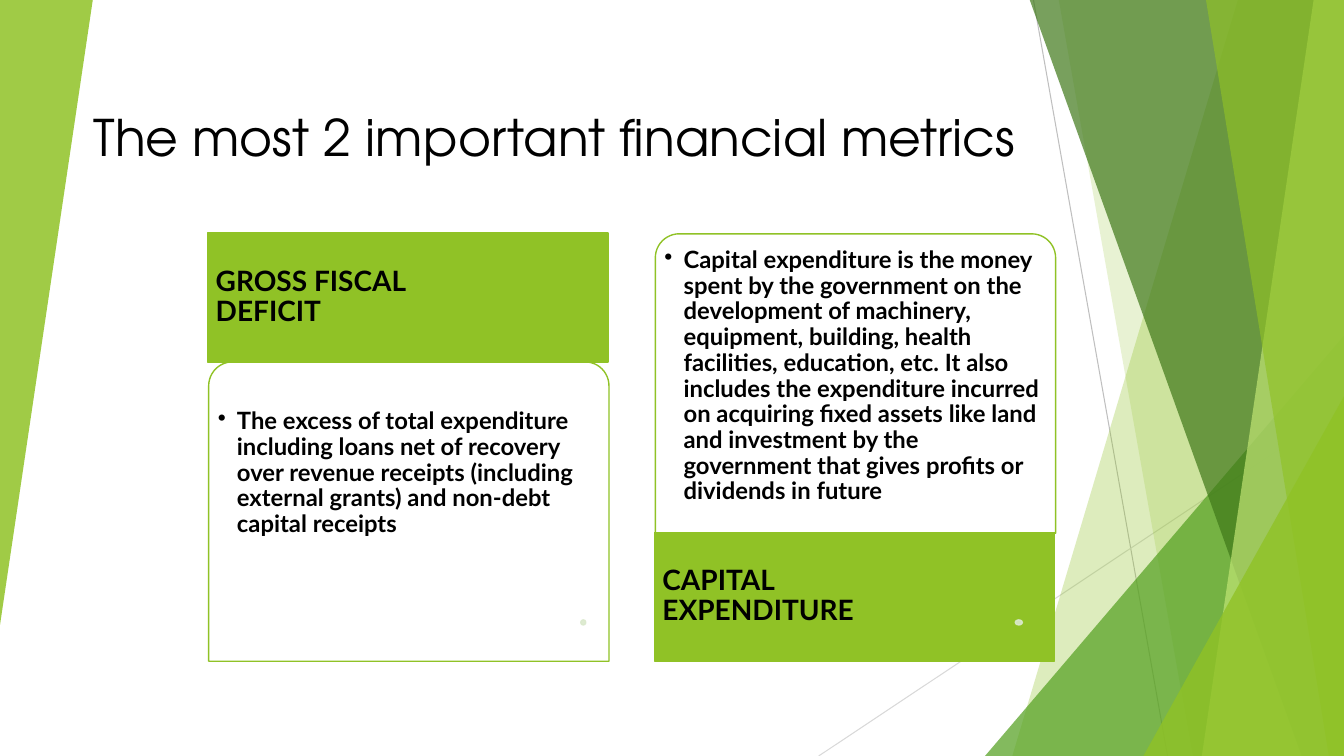
import pptx
import pptx.util
import pptx.dml.color
import pptx.enum.shapes
import pptx.enum.text
from lxml import etree
from pptx.oxml.ns import qn

# Content
TITLE = "The most 2 important financial metrics"
CARDS = [
    dict(head="GROSS FISCAL DEFICIT", flip=False, pad=0.4, dot=(5.76, 0.05),
         body="The excess of total expenditure including loans net of recovery over "
              "revenue receipts (including external grants) and non-debt capital receipts"),
    dict(head="CAPITAL EXPENDITURE", flip=True, pad=0.07, dot=(10.07, 0.07),
         body="Capital expenditure is the money spent by the government on the "
              "development of machinery, equipment, building, health facilities, "
              "education, etc. It also includes the expenditure incurred on acquiring "
              "fixed assets like land and investment by the government that gives "
              "profits or dividends in future"),
]
HUES = dict(lime="90C226", leaf="54A021", moss="3F7819", pale="C0E474", mist="DBE9CD",
            white="FFFFFF", black="000000", gray="BFBFBF", light="D9D9D9")
SANS, GEO = "Lato", "TeX Gyre Adventor"

# Layout, in inches
WIDE, HIGH = 13.33, 7.5
LEFT, TOP, STEP = 2.06, 2.31, 4.43
CARD, HEAD, BODY = 3.97, 1.28, 2.97
RAYS = [((10.25, 0), (11.58, HIGH), "gray"), ((WIDE, 4.03), (8.12, HIGH), "light")]
# Bands run from a top x to a bottom x and fill to the right edge;
# wedges are triangles that sit in the bottom right corner
DECOR = [
    ("band", 12.28, 10.04, "lime", 30),
    ("band", 10.5, 11.83, "lime", 20),
    ("wedge", 3.56, 4.17, "leaf", 72),
    ("band", 10.21, 12.91, "moss", 70),
    ("band", 13.03, 11.92, "pale", 70),
    ("band", 11.96, 13.18, "lime", 65),
    ("wedge", 1.99, 3.57, "lime", 80),
]

KIND = pptx.enum.shapes.MSO_SHAPE
ANCHOR = pptx.enum.text.MSO_ANCHOR
inch = pptx.util.Inches

deck = pptx.Presentation()
deck.slide_width, deck.slide_height = inch(WIDE), inch(HIGH)
slide = deck.slides.add_slide(deck.slide_layouts[6])
shapes = slide.shapes


def rgb(hue):
    return pptx.dml.color.RGBColor.from_string(HUES[hue])


def fade(fill, share):
    color = fill._xPr.find(qn("a:solidFill"))[0]
    etree.SubElement(color, qn("a:alpha"), val=str(share * 1000))


def paint(shape, hue, share=100, edge=None):
    shape.shadow.inherit = False
    shape.fill.solid()
    shape.fill.fore_color.rgb = rgb(hue)
    if share < 100:
        fade(shape.fill, share)
    if edge:
        shape.line.color.rgb = rgb(edge)
        shape.line.width = pptx.util.Pt(1)
    else:
        shape.line.fill.background()
    return shape


def block(kind, x, y, w, h):
    return shapes.add_shape(kind, inch(x), inch(y), inch(w), inch(h))


def write(text, box, size, font=SANS, bold=True, inset=(0.1, 0.05, 0.1, 0.05),
          anchor=ANCHOR.TOP, space=0.9, bullet=False):
    frame = shapes.add_textbox(*map(inch, box)).text_frame
    frame.word_wrap = True
    frame.vertical_anchor = anchor
    (frame.margin_left, frame.margin_top,
     frame.margin_right, frame.margin_bottom) = map(inch, inset)
    para = frame.paragraphs[0]
    if bullet:
        props = para._p.get_or_add_pPr()
        props.set("marL", str(inch(0.19)))
        props.set("indent", str(-inch(0.19)))
        etree.SubElement(props, qn("a:buChar"), char="•")
    para.line_spacing = space
    run = para.add_run()
    run.text = text
    run.font.name, run.font.size, run.font.bold = font, pptx.util.Pt(size), bold
    run.font.color.rgb = rgb("black")


# Thin rays
for start, end, hue in RAYS:
    ray = shapes.add_connector(pptx.enum.shapes.MSO_CONNECTOR.STRAIGHT,
                               *map(inch, start + end))
    ray.line.color.rgb = rgb(hue)
    ray.line.width = pptx.util.Pt(0.75)
    etree.SubElement(ray._element.spPr, qn("a:effectLst"))

# Green bands and wedges
for form, a, b, hue, share in DECOR:
    if form == "band":
        path = [(a, -0.01), (WIDE, -0.01), (WIDE, HIGH), (b, HIGH)]
        first, *rest = [(inch(x), inch(y)) for x, y in path]
        pen = shapes.build_freeform(*first)
        pen.add_line_segments(rest, close=True)
        part = pen.convert_to_shape()
    else:
        part = block(KIND.ISOSCELES_TRIANGLE, WIDE - a, HIGH - b, a, b)
        part.adjustments[0] = 1
    paint(part, hue, share)
side = paint(block(KIND.ISOSCELES_TRIANGLE, 0, 0, 0.92, 6.2), "lime", 85)
side.adjustments[0] = 1
side.rotation = 180

# Title
write(TITLE, (0.83, 1, 10.74, 0.71), 36, font=GEO, bold=False, space=1)

# Cards: the second has its heading below its body
for col, card in enumerate(CARDS):
    x = LEFT + col * STEP
    heady = TOP + BODY if card["flip"] else TOP
    bodyy = TOP + 0.01 if card["flip"] else TOP + HEAD
    panel = block(KIND.ROUND_2_SAME_RECTANGLE, x + 0.01, bodyy, CARD, BODY)
    panel.adjustments[0], panel.adjustments[1] = 0.08, 0
    paint(panel, "white", 90, edge="lime")
    write(card["body"], (x + 0.08, bodyy + 0.07, CARD - 0.14, BODY - 0.07), 17,
          inset=(0.02, card["pad"], 0.02, 0.02), bullet=True)
    paint(block(KIND.RECTANGLE, x, heady, CARD, HEAD), "lime", edge="lime")
    write(card["head"], (x, heady, 2.8, HEAD), 20,
          inset=(0.08, 0, 0.03, 0), anchor=ANCHOR.MIDDLE)
    spot, width = card["dot"]
    dot = paint(block(KIND.OVAL, spot, 6.15, width, 0.05), "mist", 90, edge="mist")
    fade(dot.line.fill, 90)

deck.save("out.pptx")
